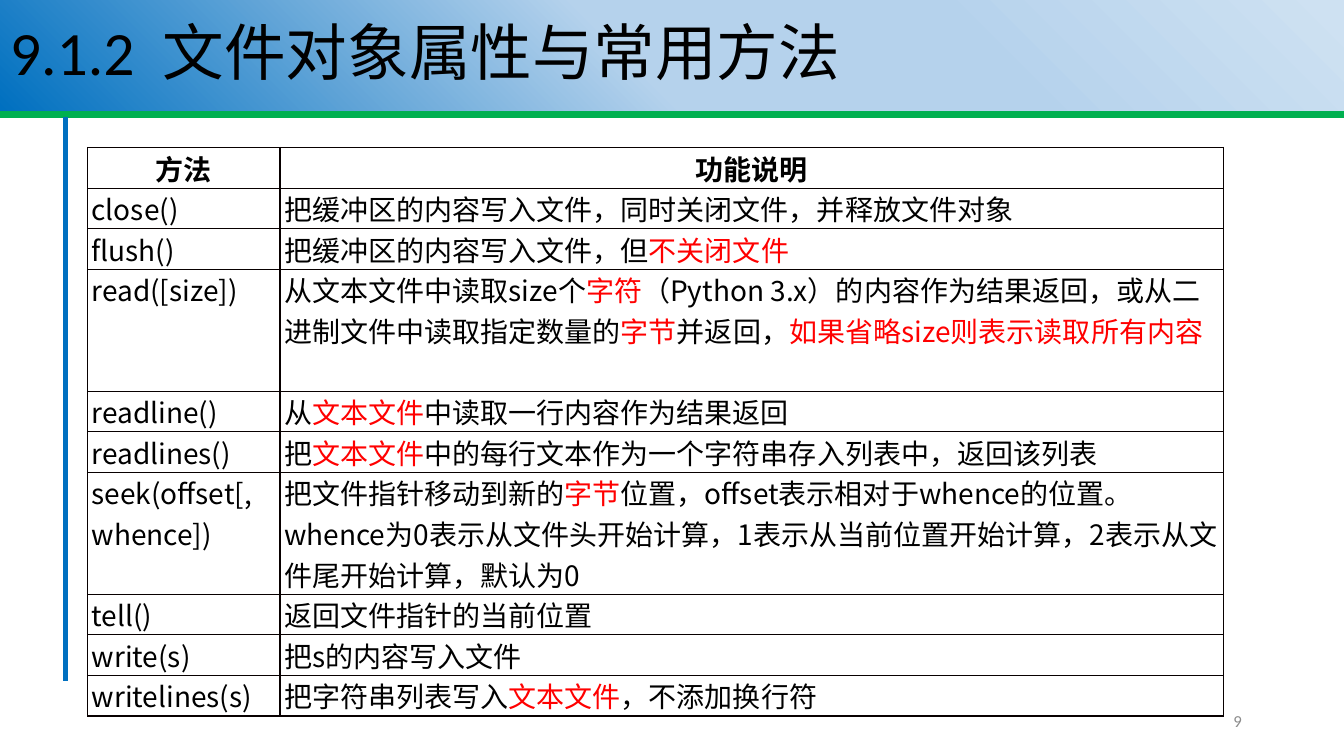
import pptx
import pptx.util
import pptx.dml.color
import pptx.enum.shapes
import pptx.enum.text
import pptx.oxml.ns
import lxml.etree

Pt = pptx.util.Pt
ALIGN = pptx.enum.text.PP_ALIGN
MIDDLE = pptx.enum.text.MSO_ANCHOR.MIDDLE
qn = pptx.oxml.ns.qn

TITLE = "9.1.2  文件对象属性与常用方法"
PAGE = "9"
HEAD = ("方法", "功能说明")
# Method, description with red parts between bars, lines of text in the row
ROWS = [
    ("close()", "把缓冲区的内容写入文件，同时关闭文件，并释放文件对象", 1),
    ("flush()", "把缓冲区的内容写入文件，但|不关闭文件", 1),
    ("read([size])", "从文本文件中读取size个|字符|（Python 3.x）的内容作为结果返回，或从"
     "二进制文件中读取指定数量的|字节|并返回，|如果省略size则表示读取所有内容", 3),
    ("readline()", "从|文本文件|中读取一行内容作为结果返回", 1),
    ("readlines()", "把|文本文件|中的每行文本作为一个字符串存入列表中，返回该列表", 1),
    ("seek(offset[, whence])", "把文件指针移动到新的|字节|位置，offset表示相对于whence的位置。"
     "whence为0表示从文件头开始计算，1表示从当前位置开始计算，2表示从文件尾开始计算，默认为0", 3),
    ("tell()", "返回文件指针的当前位置", 1),
    ("write(s)", "把s的内容写入文件", 1),
    ("writelines(s)", "把字符串列表写入|文本文件|，不添加换行符", 1),
]
COLORS = {"text": "000000", "red": "FF0000", "page": "8C8C8C",
          "green": "00B050", "blue": "0070C0", "border": "080000"}
STOPS = [(1, "CEE1F2"), (29, "B5D2EC"), (53, "B5D2EC"), (100, "0070C0")]
SANS, CJK = "Calibri", "Noto Sans CJK SC"
WIDE, TALL = 960, 540
LEFT, TOP, COLS, LINE = 62.6, 105.4, (137.5, 673.9), 29


def rgb(name):
    """Return a palette colour."""
    return pptx.dml.color.RGBColor.from_string(COLORS[name])


def style(run, size, face, color="text", bold=False):
    """Set size, typefaces and colour of a run."""
    font = run.font
    font.size, font.name, font.bold = Pt(size), face, bold
    font.color.rgb = rgb(color)
    east = lxml.etree.Element(qn("a:ea"), typeface=CJK)
    font._element.find(qn("a:latin")).addnext(east)


def rule(slide, ends, color, width):
    """Draw a straight line without shadow."""
    line = slide.shapes.add_connector(
        pptx.enum.shapes.MSO_CONNECTOR.STRAIGHT, *map(Pt, ends))
    line.line.color.rgb = rgb(color)
    line.line.width = Pt(width)
    lxml.etree.SubElement(line._element.spPr, qn("a:effectLst"))


def shade(shape):
    """Fill a shape with the banner gradient."""
    shape.fill.gradient()
    shape.fill.gradient_angle = 225
    stops = shape._element.spPr.find(".//" + qn("a:gsLst"))
    for old in list(stops):
        stops.remove(old)
    for pos, color in STOPS:
        stop = lxml.etree.SubElement(stops, qn("a:gs"), pos=str(pos * 1000))
        lxml.etree.SubElement(stop, qn("a:srgbClr"), val=color)


def label(shape, text, size, color, align):
    """Write one line of centred-height text in a shape."""
    frame = shape.text_frame
    frame.word_wrap = True
    frame.vertical_anchor = MIDDLE
    frame.text = text
    para = frame.paragraphs[0]
    para.alignment = align
    style(para.runs[0], size, SANS, color)
    return para


def border(cell):
    """Give a cell thin lines on all sides and no fill."""
    props = cell._tc.get_or_add_tcPr()
    for side in ("lnL", "lnR", "lnT", "lnB"):
        edge = lxml.etree.SubElement(props, qn("a:" + side), w=str(Pt(1)))
        fill = lxml.etree.SubElement(edge, qn("a:solidFill"))
        lxml.etree.SubElement(fill, qn("a:srgbClr"), val=COLORS["border"])
    cell.fill.background()


def write(cell, text, head):
    """Fill a cell; every second part between bars is red."""
    cell.margin_left = Pt(0 if head else 2.9)
    cell.margin_right = cell.margin_top = cell.margin_bottom = 0
    para = cell.text_frame.paragraphs[0]
    para.alignment = ALIGN.CENTER if head else ALIGN.LEFT
    for num, part in enumerate(text.split("|")):
        run = para.add_run()
        run.text = part
        style(run, 20, CJK, "red" if num % 2 else "text", head)
    border(cell)


def grid(slide):
    """Build the table of file methods."""
    rows = [(*HEAD, 1), *ROWS]
    high = LINE * sum(row[2] for row in rows)
    table = slide.shapes.add_table(len(rows), len(COLS), Pt(LEFT), Pt(TOP),
                                   Pt(sum(COLS)), Pt(high)).table
    table.first_row = table.horz_banding = False
    for col, width in zip(table.columns, COLS):
        col.width = Pt(width)
    for num, (*texts, lines) in enumerate(rows):
        table.rows[num].height = Pt(LINE * lines)
        for col, text in enumerate(texts):
            write(table.cell(num, col), text, num == 0)


def main():
    """Build and save the slide."""
    deck = pptx.Presentation()
    deck.slide_width, deck.slide_height = Pt(WIDE), Pt(TALL)
    slide = deck.slides.add_slide(deck.slide_layouts[6])
    rule(slide, (0, 82, WIDE, 82), "green", 5.25)
    rule(slide, (46.8, 83.5, 46.8, 486.7), "blue", 3.75)

    banner = slide.shapes.add_shape(
        pptx.enum.shapes.MSO_SHAPE.RECTANGLE, 0, 0, Pt(WIDE), Pt(79.2))
    banner.shadow.inherit = False
    banner.line.fill.background()
    shade(banner)
    label(banner, TITLE, 44, "text", ALIGN.LEFT).line_spacing = 0.9

    page = slide.shapes.add_textbox(Pt(678.2), Pt(500.4), Pt(216), Pt(28.8))
    label(page, PAGE, 12, "page", ALIGN.RIGHT)
    grid(slide)
    deck.save("out.pptx")


main()
